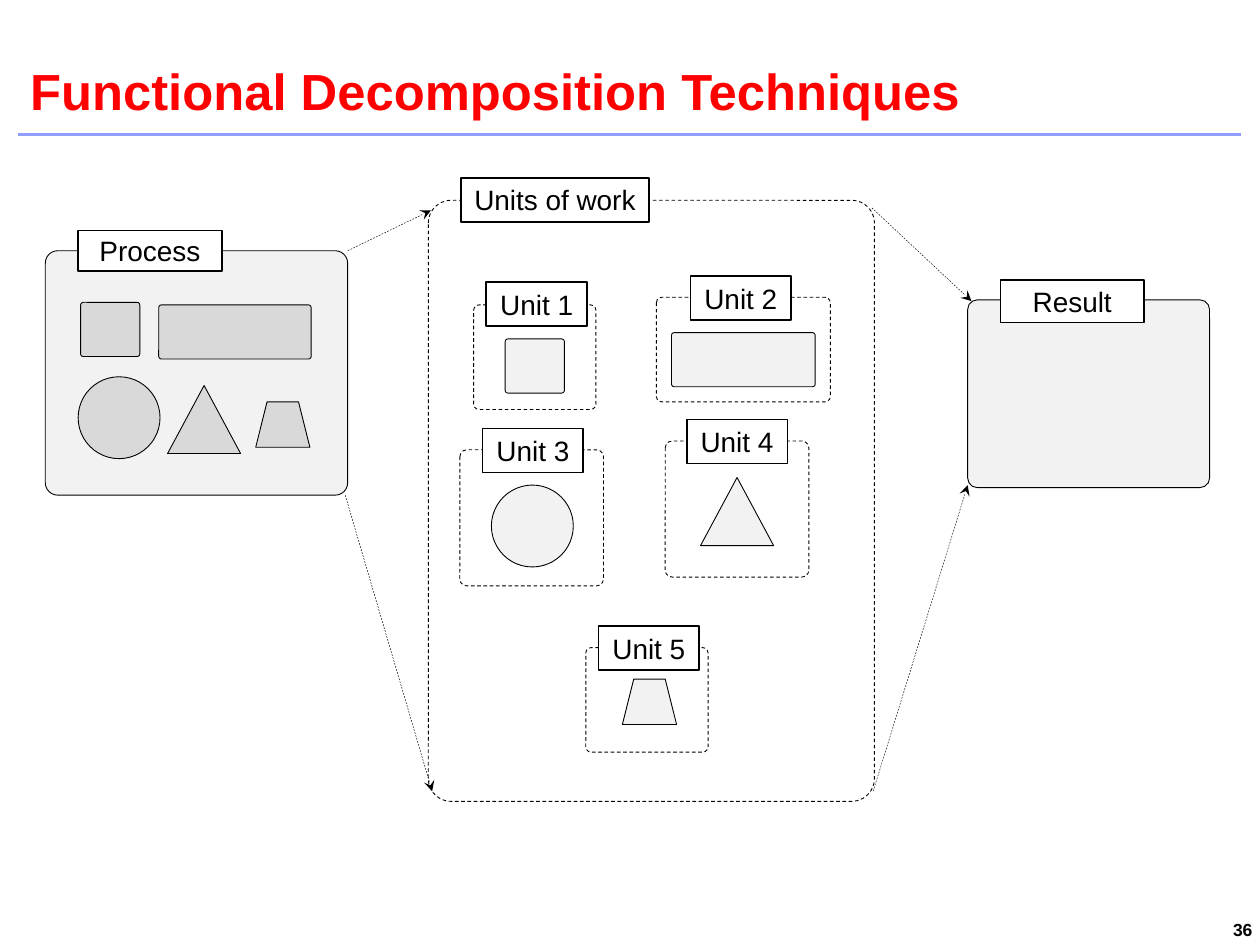
from lxml import etree
from pptx import Presentation
from pptx.dml.color import RGBColor
from pptx.enum.dml import MSO_LINE as DASH
from pptx.enum.shapes import MSO_CONNECTOR as CONN, MSO_SHAPE as SHAPE
from pptx.enum.text import MSO_ANCHOR as ANCHOR, PP_ALIGN as ALIGN
from pptx.oxml.ns import qn
from pptx.util import Inches, Pt

COLORS = {
    "ink": "000000",
    "title": "FF0000",
    "rule": "939DFC",
    "paper": "FFFFFF",
    "light": "F2F2F2",
    "mid": "D9D9D9",
}


def color(name):
    return RGBColor.from_string(COLORS[name])


def write(sp, text, size=16, ink="ink", bold=False, align=ALIGN.CENTER,
          anchor=ANCHOR.MIDDLE, insets=(0, 0.05, 0, 0.05)):
    tf = sp.text_frame
    tf.word_wrap = True
    tf.vertical_anchor = anchor
    tf.margin_left, tf.margin_top, tf.margin_right, tf.margin_bottom = map(Inches, insets)
    p = tf.paragraphs[0]
    p.alignment = align
    r = p.add_run()
    r.text = text
    r.font.name = "Arial"
    r.font.size = Pt(size)
    r.font.bold = bold
    r.font.color.rgb = color(ink)


class Diagram:
    radius = 0.051
    label_size = (0.8, 0.35)

    def __init__(self, s):
        self.s = s

    def text(self, box, text, **fmt):
        write(self.s.shapes.add_textbox(*map(Inches, box)), text, **fmt)

    def shape(self, kind, box, fill=None, width=0.5, dashed=False):
        sp = self.s.shapes.add_shape(kind, *map(Inches, box))
        sp.shadow.inherit = False
        if kind == SHAPE.ROUNDED_RECTANGLE:
            sp.adjustments[0] = self.radius
        if fill:
            sp.fill.solid()
            sp.fill.fore_color.rgb = color(fill)
        else:
            sp.fill.background()
        sp.line.color.rgb = color("ink")
        sp.line.width = Pt(width)
        if dashed:
            sp.line.dash_style = DASH.DASH
        return sp

    def label(self, box, text):
        write(self.shape(SHAPE.RECTANGLE, box, "paper", 1), text)

    def panel(self, box, label_box, text, fill=None):
        self.shape(SHAPE.ROUNDED_RECTANGLE, box, fill, dashed=fill is None)
        self.label(label_box, text)

    def unit(self, name, box, label_at, kind, part):
        self.shape(kind, part, "light")
        self.panel(box, label_at + self.label_size, name)

    def line(self, start, end, ink="ink", width=0.25):
        cn = self.s.shapes.add_connector(CONN.STRAIGHT, *map(Inches, start + end))
        cn.line.color.rgb = color(ink)
        cn.line.width = Pt(width)
        etree.SubElement(cn._element.spPr, qn("a:effectLst"))
        return cn

    def arrow(self, start, end):
        cn = self.line(start, end)
        cn.line.dash_style = DASH.DASH
        etree.SubElement(cn.line._get_or_add_ln(), qn("a:tailEnd"), type="stealth")


def main():
    prs = Presentation()
    prs.slide_width, prs.slide_height = Inches(10), Inches(7.5)
    d = Diagram(prs.slides.add_slide(prs.slide_layouts[6]))

    d.line((0.14, 1.07), (9.85, 1.07), "rule", 1.75)
    d.text((0.18, 0, 9.67, 0.96), "Functional Decomposition Techniques", size=29,
           ink="title", bold=True, align=ALIGN.LEFT, anchor=ANCHOR.BOTTOM,
           insets=(0.06, 0.02, 0, 0))
    d.text((9.1, 7.29, 0.9, 0.18), "36", size=10, bold=True, align=ALIGN.RIGHT,
           anchor=ANCHOR.TOP, insets=(0, 0, 0.06, 0.06))

    d.panel((0.36, 1.99, 2.4, 1.94), (0.62, 1.83, 1.14, 0.32), "Process", "light")
    d.panel((3.4, 1.59, 3.54, 4.77), (3.66, 1.41, 1.49, 0.35), "Units of work")
    d.panel((7.68, 2.38, 1.92, 1.49), (7.94, 2.22, 1.14, 0.34), "Result", "light")

    for start, end in [
        ((2.76, 1.99), (3.42, 1.67)),
        ((2.74, 3.93), (3.43, 6.28)),
        ((6.92, 1.65), (7.71, 2.39)),
        ((6.93, 6.28), (7.68, 3.85)),
    ]:
        d.arrow(start, end)

    for kind, box in [
        (SHAPE.ROUNDED_RECTANGLE, (0.64, 2.4, 0.47, 0.43)),
        (SHAPE.ROUNDED_RECTANGLE, (1.26, 2.42, 1.21, 0.43)),
        (SHAPE.OVAL, (0.62, 2.99, 0.65, 0.65)),
        (SHAPE.ISOSCELES_TRIANGLE, (1.33, 3.06, 0.58, 0.54)),
        (SHAPE.TRAPEZOID, (2.03, 3.19, 0.43, 0.36)),
    ]:
        d.shape(kind, box, "mid")

    for name, box, label_at, kind, part in [
        ("Unit 1", (3.76, 2.42, 0.97, 0.83), (3.86, 2.24),
         SHAPE.ROUNDED_RECTANGLE, (4.01, 2.69, 0.47, 0.43)),
        ("Unit 2", (5.21, 2.36, 1.38, 0.83), (5.48, 2.19),
         SHAPE.ROUNDED_RECTANGLE, (5.33, 2.64, 1.14, 0.43)),
        ("Unit 5", (4.65, 5.14, 0.97, 0.83), (4.75, 4.97),
         SHAPE.TRAPEZOID, (4.94, 5.39, 0.43, 0.36)),
        ("Unit 4", (5.28, 3.5, 1.14, 1.08), (5.45, 3.33),
         SHAPE.ISOSCELES_TRIANGLE, (5.56, 3.79, 0.58, 0.54)),
        ("Unit 3", (3.65, 3.57, 1.14, 1.08), (3.83, 3.4),
         SHAPE.OVAL, (3.9, 3.85, 0.65, 0.65)),
    ]:
        d.unit(name, box, label_at, kind, part)

    prs.save("out.pptx")


if __name__ == "__main__":
    main()
